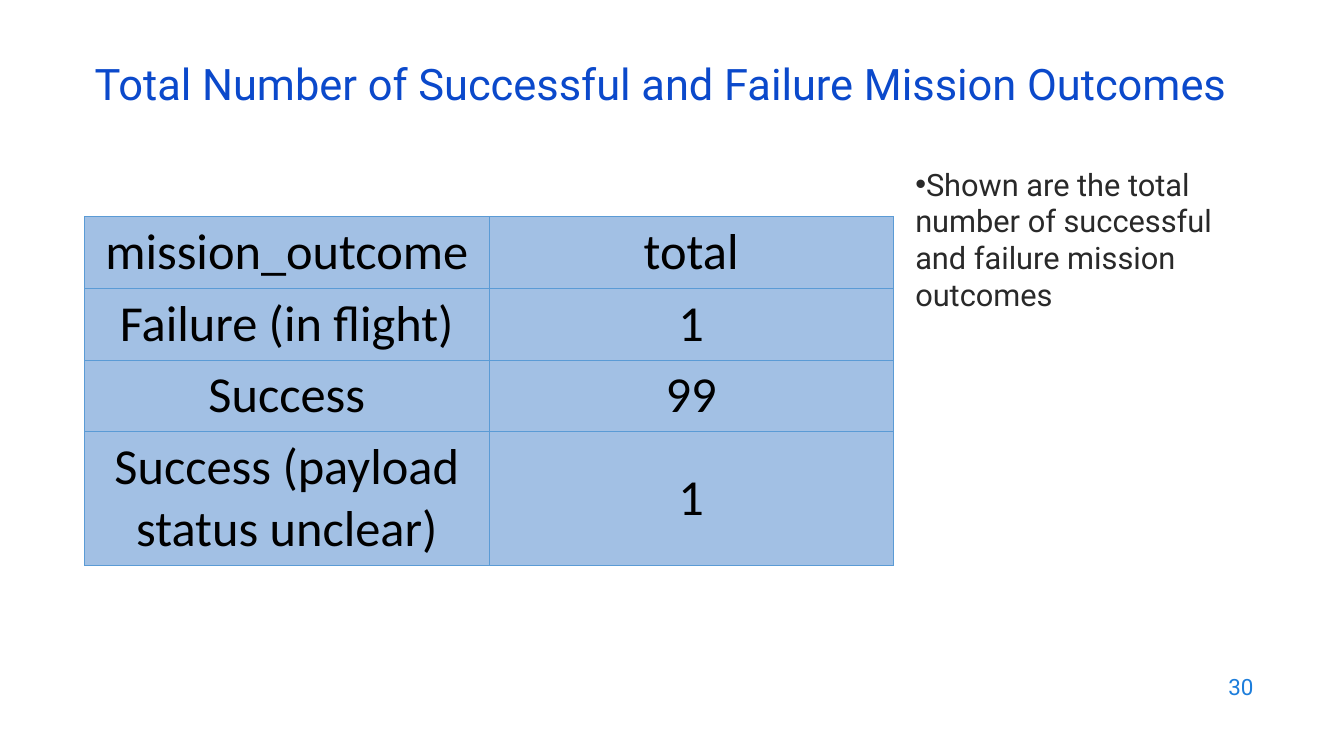
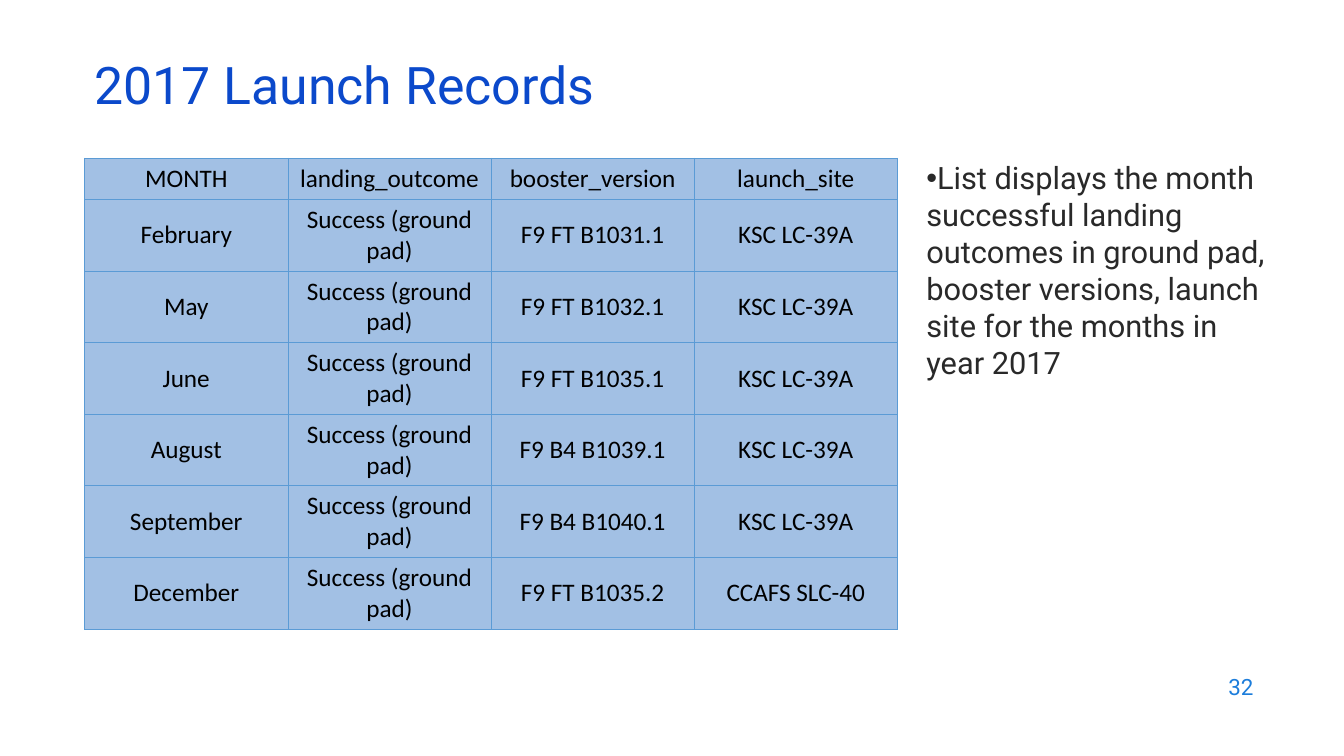
from lxml.etree import SubElement
from pptx import Presentation
from pptx.dml.color import RGBColor
from pptx.enum.text import MSO_ANCHOR, PP_ALIGN
from pptx.oxml.ns import qn
from pptx.util import Inches, Pt

# Shared look
BLUE, NUMBER_BLUE, DARK, BLACK = "0B49CB", "1C7DDB", "292929", "000000"
CELL_FILL, CELL_LINE = "A2C0E4", "5B9BD5"
HEADING_FONT, TABLE_FONT = "Roboto", "Calibri"
TITLE_BOX = (0.84, 0.59, 11.5, 0.6)
NUMBER_BOX = (9.53, 6.59, 3, 0.44)


def rgb(value):
    return RGBColor.from_string(value)


def write(p, text, size, color, font=HEADING_FONT, **paragraph_format):
    for name, value in paragraph_format.items():
        setattr(p, name, value)
    r = p.add_run()
    r.text = text
    for name, value in {"name": font, "size": Pt(size), "bold": False}.items():
        setattr(r.font, name, value)
    r.font.color.rgb = rgb(color)


def add_text_box(s, box, anchor):
    tf = s.shapes.add_textbox(*map(Inches, box)).text_frame
    tf.word_wrap = True
    tf.vertical_anchor = anchor
    return tf.paragraphs[0]


def add_title(s, text, size, spacing):
    p = add_text_box(s, TITLE_BOX, MSO_ANCHOR.MIDDLE)
    write(p, text, size, BLUE, line_spacing=spacing)


def add_number(s, number):
    p = add_text_box(s, NUMBER_BOX, MSO_ANCHOR.MIDDLE)
    write(p, str(number), 16, NUMBER_BLUE, alignment=PP_ALIGN.RIGHT)


def add_note(s, box, text):
    p = add_text_box(s, box, MSO_ANCHOR.TOP)
    pPr = p._p.get_or_add_pPr()
    SubElement(pPr, qn("a:buFont"), typeface="Arial")
    SubElement(pPr, qn("a:buChar"), char="•")
    write(p, text, 22, DARK)


def style_cell(cell):
    tcPr = cell._tc.get_or_add_tcPr()
    for side in "LRTB":
        ln = SubElement(tcPr, qn("a:ln" + side), w=str(Pt(0.5)))
        fill = SubElement(ln, qn("a:solidFill"))
        SubElement(fill, qn("a:srgbClr"), val=CELL_LINE)
    cell.fill.solid()
    cell.fill.fore_color.rgb = rgb(CELL_FILL)
    cell.vertical_anchor = MSO_ANCHOR.MIDDLE


def add_data_table(s, box, rows, heights, size):
    left, top, width, _ = box
    frame = s.shapes.add_table(len(rows), len(rows[0]), Inches(left), Inches(top),
                               Inches(width), Inches(sum(heights)))
    table = frame.table
    table.first_row = table.horz_banding = False
    for row, height, values in zip(table.rows, heights, rows):
        row.height = Inches(height)
        for cell, value in zip(row.cells, values):
            style_cell(cell)
            write(cell.text_frame.paragraphs[0], value, size, BLACK, TABLE_FONT,
                  alignment=PP_ALIGN.CENTER)


def add_table_slide(prs, number, title, note, table):
    s = prs.slides.add_slide(prs.slide_layouts[6])
    add_number(s, number)
    add_note(s, **note)
    add_title(s, **title)
    add_data_table(s, **table)


def main():
    prs = Presentation()
    prs.slide_width, prs.slide_height = Inches(13.33), Inches(7.5)

    # Mission outcomes
    outcomes = [
        ("mission_outcome", "total"),
        ("Failure (in flight)", "1"),
        ("Success", "99"),
        ("Success (payload status unclear)", "1"),
    ]
    add_table_slide(
        prs, 30,
        title={"text": "Total Number of Successful and Failure Mission Outcomes",
               "size": 31, "spacing": 0.7},
        note={"box": (8.98, 1.59, 3.67, 4.76),
              "text": "Shown are the total number of successful and failure "
                      "mission outcomes"},
        table={"box": (0.84, 2.15, 8.02, 3.46), "rows": outcomes,
               "heights": [0.71] * 3 + [1.33], "size": 36},
    )

    # Launch records
    launches = [
        ("February", "F9 FT B1031.1", "KSC LC-39A"),
        ("May", "F9 FT B1032.1", "KSC LC-39A"),
        ("June", "F9 FT B1035.1", "KSC LC-39A"),
        ("August", "F9 B4 B1039.1", "KSC LC-39A"),
        ("September", "F9 B4 B1040.1", "KSC LC-39A"),
        ("December", "F9 FT B1035.2", "CCAFS SLC-40"),
    ]
    records = [("MONTH", "landing_outcome", "booster_version", "launch_site")]
    records += [(month, "Success (ground pad)", booster, site)
                for month, booster, site in launches]
    add_table_slide(
        prs, 32,
        title={"text": "2017 Launch Records", "size": 37, "spacing": 0.8},
        note={"box": (9.09, 1.53, 3.6, 5.17),
              "text": "List displays the month successful landing outcomes in "
                      "ground pad, booster versions, launch site for the months "
                      "in year 2017"},
        table={"box": (0.84, 1.57, 8.06, 4.67), "rows": records,
               "heights": [0.41] + [0.71] * len(launches), "size": 18},
    )
    prs.save("out.pptx")


if __name__ == "__main__":
    main()
